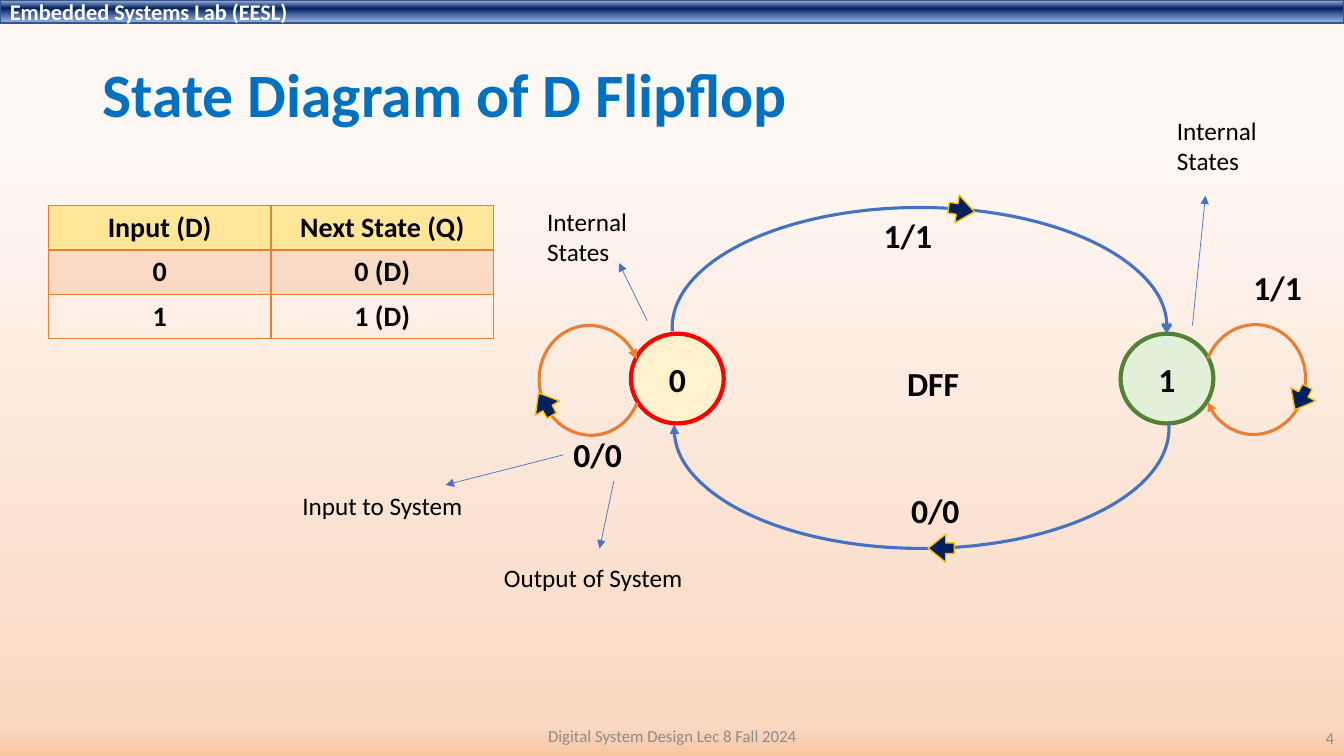
import pptx
import pptx.dml.color
import pptx.enum.shapes
import pptx.enum.text
import pptx.oxml
import pptx.oxml.ns
import pptx.util
from pptx.util import Cm

SHAPE = pptx.enum.shapes.MSO_SHAPE
ALIGN = pptx.enum.text.PP_ALIGN
MIDDLE = pptx.enum.text.MSO_ANCHOR.MIDDLE
NAMESPACE = pptx.oxml.ns.nsdecls("a")


def rgb(colour):
    return pptx.dml.color.RGBColor.from_string(colour)


def write(frame, text, size, colour="000000", bold=True, align=ALIGN.LEFT):
    """Fill a text frame, one paragraph for each line of text."""
    for index, line in enumerate(text.split("\n")):
        paragraph = frame.add_paragraph() if index else frame.paragraphs[0]
        paragraph.alignment = align
        run = paragraph.add_run()
        run.text = line
        run.font.name = "Calibri"
        run.font.size = pptx.util.Pt(size)
        run.font.bold = bold
        run.font.color.rgb = rgb(colour)


deck = pptx.Presentation()
deck.slide_width, deck.slide_height = Cm(33.87), Cm(19.05)
slide = deck.slides.add_slide(deck.slide_layouts[5])
shapes = slide.shapes

# Background and header bar
header = shapes.add_shape(SHAPE.RECTANGLE, 0, 0, Cm(33.87), Cm(0.58))
header.shadow.inherit = False
header.line.color.rgb = rgb("325491")
header.line.width = pptx.util.Pt(1)
header.text_frame.vertical_anchor = MIDDLE
write(header.text_frame, "Embedded Systems Lab (EESL)", 16, "FFFFFF")

gradients = [
    (slide.background.fill, slide.element, "p:cSld/p:bg//a:gsLst",
     [(19, "FEF8F5", 97), (96, "FAD8C1", 100), (100, "F7C5A2", 100)]),
    (header.fill, header.element, "p:spPr/a:gradFill/a:gsLst",
     [(2, "ABC0E4", 100), (38, "002060", 100), (93, "7E9ED6", 87)]),
]
for fill, owner, query, stops in gradients:
    fill.gradient()
    fill.gradient_angle = 270
    stop_list = owner.xpath(query)[0]
    for old_stop in list(stop_list):
        stop_list.remove(old_stop)
    for position, colour, opacity in stops:
        stop_list.append(pptx.oxml.parse_xml(
            f'<a:gs {NAMESPACE} pos="{position * 1000}"><a:srgbClr val="{colour}">'
            f'<a:alpha val="{opacity * 1000}"/></a:srgbClr></a:gs>'))

# Title
title = shapes.title
title.left, title.top, title.width, title.height = Cm(2.33), Cm(1.02), Cm(18.16), Cm(2.9)
title.text_frame.vertical_anchor = MIDDLE
write(title.text_frame, "State Diagram of D Flipflop", 44, "0070C0")
title.text_frame.paragraphs[0].line_spacing = 0.9

# Truth table
truth_rows = [("Input (D)", "Next State (Q)"), ("0", "0 (D)"), ("1", "1 (D)")]
truth_table = shapes.add_table(3, 2, Cm(1.22), Cm(5.18), Cm(11.22), Cm(3.3)).table
truth_table.first_row = truth_table.horz_banding = False
for row, values in enumerate(truth_rows):
    for column, value in enumerate(values):
        cell = truth_table.cell(row, column)
        write(cell.text_frame, value, 20, align=ALIGN.CENTER)
        properties = cell._tc.get_or_add_tcPr()
        for side in "LRTB":
            thick = (side == "B" and row == 0) or (side == "T" and row == 1)
            properties.append(pptx.oxml.parse_xml(
                f'<a:ln{side} {NAMESPACE} w="{25400 if thick else 12700}">'
                f'<a:solidFill><a:srgbClr val="ED7D31"/></a:solidFill></a:ln{side}>'))
        if row == 2:
            cell.fill.background()
            continue
        cell.fill.solid()
        cell.fill.fore_color.rgb = rgb("ED7D31" if row else "FFE699")
        if row == 1:
            properties.xpath("a:solidFill/a:srgbClr")[0].append(
                pptx.oxml.parse_xml(f'<a:alpha {NAMESPACE} val="20000"/>'))

# States
for name, left, fill, outline in [("0", 15.9, "FFF2CC", "FF0000"),
                                  ("1", 28.24, "E2F0D9", "548235")]:
    state = shapes.add_shape(SHAPE.OVAL, Cm(left), Cm(8.41), Cm(2.34), Cm(2.26))
    state.shadow.inherit = False
    state.fill.solid()
    state.fill.fore_color.rgb = rgb(fill)
    state.line.color.rgb = rgb(outline)
    state.line.width = pptx.util.Pt(3)
    state.text_frame.vertical_anchor = MIDDLE
    write(state.text_frame, name, 24, align=ALIGN.CENTER)

# Transitions between states and loops on one state
HALF, LOOP = (107.471, 0.839), (19.248, 205.195)
transitions = [
    (16.94, 5.23, 12.47, 6.05, 0, HALF, None, "tailEnd", "arrow", "4472C4"),
    (16.99, 7.77, 12.47, 6.05, 0, HALF, "flipV", "headEnd", "triangle", "4472C4"),
    (13.59, 8.2, 2.57, 2.77, 353.5, LOOP, None, "tailEnd", "triangle", "ED7D31"),
    (30.33, 8.18, 2.57, 2.77, 6.5, LOOP, "flipH", "headEnd", "triangle", "ED7D31"),
]
arrows = []
for left, top, width, height, turn, angles, flip, end, head, colour in transitions:
    arc = shapes.add_shape(SHAPE.ARC, Cm(left), Cm(top), Cm(width), Cm(height))
    arc.adjustments[0], arc.adjustments[1] = angles
    arc.rotation = turn
    arc.fill.background()
    if flip:
        arc.element.spPr.xfrm.set(flip, "1")
    arrows.append((arc, end, head, colour, 2.25))

# Pointers from labels to the diagram
for x1, y1, x2, y2 in [(14.2, 11.46, 11.23, 12.22), (15.47, 12.12, 15.11, 13.82),
                       (16.31, 8.08, 15.6, 6.63), (30.05, 8.2, 30.38, 4.93)]:
    pointer = shapes.add_connector(pptx.enum.shapes.MSO_CONNECTOR.STRAIGHT,
                                   Cm(x1), Cm(y1), Cm(x2), Cm(y2))
    arrows.append((pointer, "tailEnd", "triangle", "4472C4", 0.5))

for arrow, end, head, colour, weight in arrows:
    arrow.line.color.rgb = rgb(colour)
    arrow.line.width = pptx.util.Pt(weight)
    outline = arrow.element.spPr.xpath("a:ln")[0]
    outline.append(pptx.oxml.parse_xml(f'<a:{end} {NAMESPACE} type="{head}"/>'))
    arrow.element.spPr.append(pptx.oxml.parse_xml(f"<a:effectLst {NAMESPACE}/>"))

# Direction markers on the transitions
for left, top, turn in [(13.41, 9.83, 239.4), (32.46, 9.68, 118.4),
                        (23.9, 4.93, 9), (23.39, 13.46, 180)]:
    marker = shapes.add_shape(SHAPE.RIGHT_ARROW, Cm(left), Cm(top), Cm(0.66), Cm(0.71))
    marker.shadow.inherit = False
    marker.adjustments[0], marker.adjustments[1] = 0.384, 0.67
    marker.rotation = turn
    marker.fill.solid()
    marker.fill.fore_color.rgb = rgb("002060")
    marker.line.color.rgb = rgb("FFC000")
    marker.line.width = pptx.util.Pt(1)

# Labels
labels = [
    ("1/1", 31.34, 6.6, 1.75, 1.27, 24),
    ("0/0", 22.71, 12.22, 1.75, 1.27, 24),
    ("0/0", 14.2, 10.82, 1.75, 1.27, 24),
    ("DFF", 22.61, 9.02, 1.83, 1.27, 24),
    ("1/1", 22.02, 5.28, 1.75, 1.27, 24),
    ("Input to System", 7.37, 12.22, 4.6, 1.02, 18),
    ("Output of System", 12.45, 14.05, 5.05, 1.02, 18),
    ("Internal\nStates", 13.54, 5.08, 2.54, 1.8, 18),
    ("Internal\nStates", 29.41, 2.77, 2.54, 1.8, 18),
]
for text, left, top, width, height, size in labels:
    label = shapes.add_textbox(Cm(left), Cm(top), Cm(width), Cm(height))
    label.text_frame.word_wrap = False
    write(label.text_frame, text, size, bold=size == 24)

# Footer and slide number
for text, left, top, width, align in [
        ("Digital System Design Lec 8 Fall 2024", 11.23, 18.03, 11.43, ALIGN.CENTER),
        ("4", 26.25, 18.08, 7.62, ALIGN.RIGHT)]:
    footer = shapes.add_textbox(Cm(left), Cm(top), Cm(width), Cm(1.02))
    footer.text_frame.word_wrap = True
    footer.text_frame.vertical_anchor = MIDDLE
    write(footer.text_frame, text, 12, "8C8C8C", False, align)

deck.save("out.pptx")
